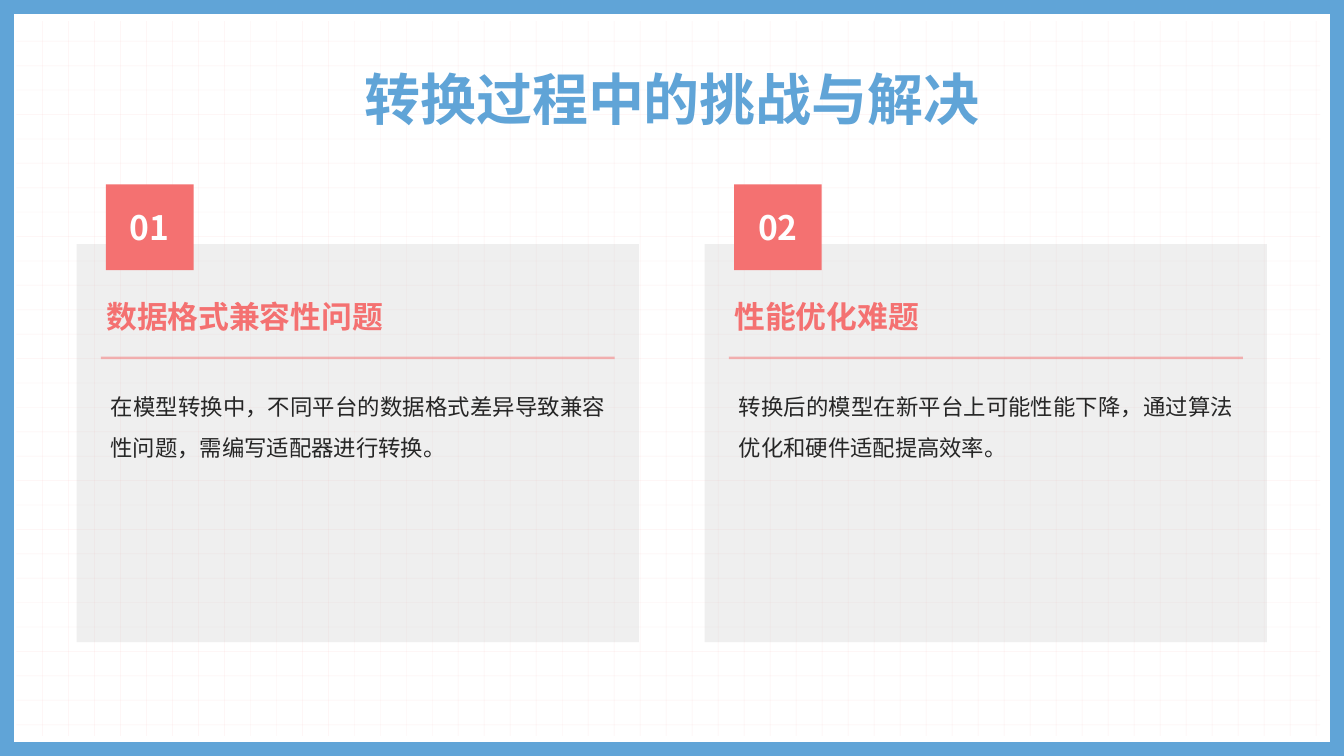
from lxml.etree import SubElement
from pptx import Presentation
from pptx.dml.color import RGBColor
from pptx.enum.shapes import MSO_CONNECTOR, MSO_SHAPE
from pptx.enum.text import MSO_ANCHOR, PP_ALIGN
from pptx.oxml.ns import qn
from pptx.util import Cm, Pt

TITLE = "转换过程中的挑战与解决"
CARDS = [
    ("01", "数据格式兼容性问题",
     "在模型转换中，不同平台的数据格式差异导致兼容性问题，需编写适配器进行转换。"),
    ("02", "性能优化难题",
     "转换后的模型在新平台上可能性能下降，通过算法优化和硬件适配提高效率。"),
]

BLUE = RGBColor(0x60, 0xA4, 0xD7)
CORAL = RGBColor(0xF4, 0x71, 0x71)
GRAY = RGBColor(0x99, 0x99, 0x99)
DARK = RGBColor(0x26, 0x26, 0x26)
WHITE = RGBColor(0xFF, 0xFF, 0xFF)
CJK_FONT = "Noto Sans CJK SC"

SLIDE_WIDTH, SLIDE_HEIGHT = 33.87, 19.05
GRID_LEFT, GRID_RIGHT = 0.41, 33.27
GRID_TOP, GRID_BOTTOM = 0.53, 18.54
ROWS, FIRST_ROW, LAST_ROW = 29, 1.04, 18.26
COLUMNS, FIRST_COLUMN, LAST_COLUMN = 50, 1.07, 33.17
CARD_LEFT, CARD_PITCH = 1.93, 15.83


def set_opacity(fill, percent):
    color = fill._xPr.find(qn("a:solidFill"))[0]
    SubElement(color, qn("a:alpha"), val=str(percent * 1000))


def add_box(slide, left, top, width, height, color):
    box = slide.shapes.add_shape(
        MSO_SHAPE.RECTANGLE, Cm(left), Cm(top), Cm(width), Cm(height))
    box.shadow.inherit = False
    box.fill.solid()
    box.fill.fore_color.rgb = color
    box.line.fill.background()
    return box


def add_line(slide, start, end, width, opacity):
    line = slide.shapes.add_connector(
        MSO_CONNECTOR.STRAIGHT, *map(Cm, start), *map(Cm, end))
    line.line.color.rgb = CORAL
    line.line.width = Pt(width)
    set_opacity(line.line.fill, opacity)
    SubElement(line._element.spPr, qn("a:effectLst"))


def write(shape, text, size, color, bold=False, align=PP_ALIGN.LEFT,
          anchor=MSO_ANCHOR.MIDDLE, wrap=True, spacing=None, latin=CJK_FONT):
    frame = shape.text_frame
    frame.margin_left = frame.margin_right = 0
    frame.margin_top = frame.margin_bottom = 0
    frame.word_wrap = wrap
    frame.vertical_anchor = anchor
    paragraph = frame.paragraphs[0]
    paragraph.text = text
    paragraph.alignment = align
    paragraph.line_spacing = spacing
    font = paragraph.font
    font.size = Pt(size)
    font.bold = bold
    font.color.rgb = color
    font.name = latin
    SubElement(font._element, qn("a:ea"), typeface=CJK_FONT)


def add_text(slide, left, top, width, height, *content, **style):
    box = slide.shapes.add_textbox(Cm(left), Cm(top), Cm(width), Cm(height))
    write(box, *content, **style)


def add_background(slide):
    frame = add_box(slide, 0, 0, SLIDE_WIDTH, SLIDE_HEIGHT, WHITE)
    frame.fill.background()
    frame.line.color.rgb = BLUE
    frame.line.width = Pt(20)
    for row in range(ROWS):
        y = FIRST_ROW + row * (LAST_ROW - FIRST_ROW) / (ROWS - 1)
        add_line(slide, (GRID_LEFT, y), (GRID_RIGHT, y), 0.5, 5)
    for column in range(COLUMNS):
        x = FIRST_COLUMN + column * (LAST_COLUMN - FIRST_COLUMN) / (COLUMNS - 1)
        add_line(slide, (x, GRID_TOP), (x, GRID_BOTTOM), 0.5, 5)


def add_card(slide, left, number, heading, body):
    panel = add_box(slide, left, 6.15, 14.17, 10.03, GRAY)
    set_opacity(panel.fill, 15)
    add_text(slide, left + 0.86, 9.58, 12.47, 6.1, body, 16, DARK,
             align=PP_ALIGN.JUSTIFY, anchor=MSO_ANCHOR.TOP, spacing=1.5)
    badge = add_box(slide, left + 0.74, 4.65, 2.21, 2.16, CORAL)
    write(badge, number, 24, WHITE, bold=True, align=PP_ALIGN.CENTER, wrap=False)
    add_line(slide, (left + 0.61, 9.02), (left + 13.56, 9.02), 1.75, 50)
    add_text(slide, left + 0.75, 7.37, 12.47, 1.22, heading, 22, CORAL, bold=True)


def main():
    presentation = Presentation()
    presentation.slide_width = Cm(SLIDE_WIDTH)
    presentation.slide_height = Cm(SLIDE_HEIGHT)
    slide = presentation.slides.add_slide(presentation.slide_layouts[6])
    add_background(slide)
    add_text(slide, 2.33, 1.27, 29.21, 2.39, TITLE, 40, BLUE, bold=True,
             align=PP_ALIGN.CENTER, latin="Arial")
    for index, card in enumerate(CARDS):
        add_card(slide, CARD_LEFT + index * CARD_PITCH, *card)
    presentation.save("out.pptx")


if __name__ == "__main__":
    main()
